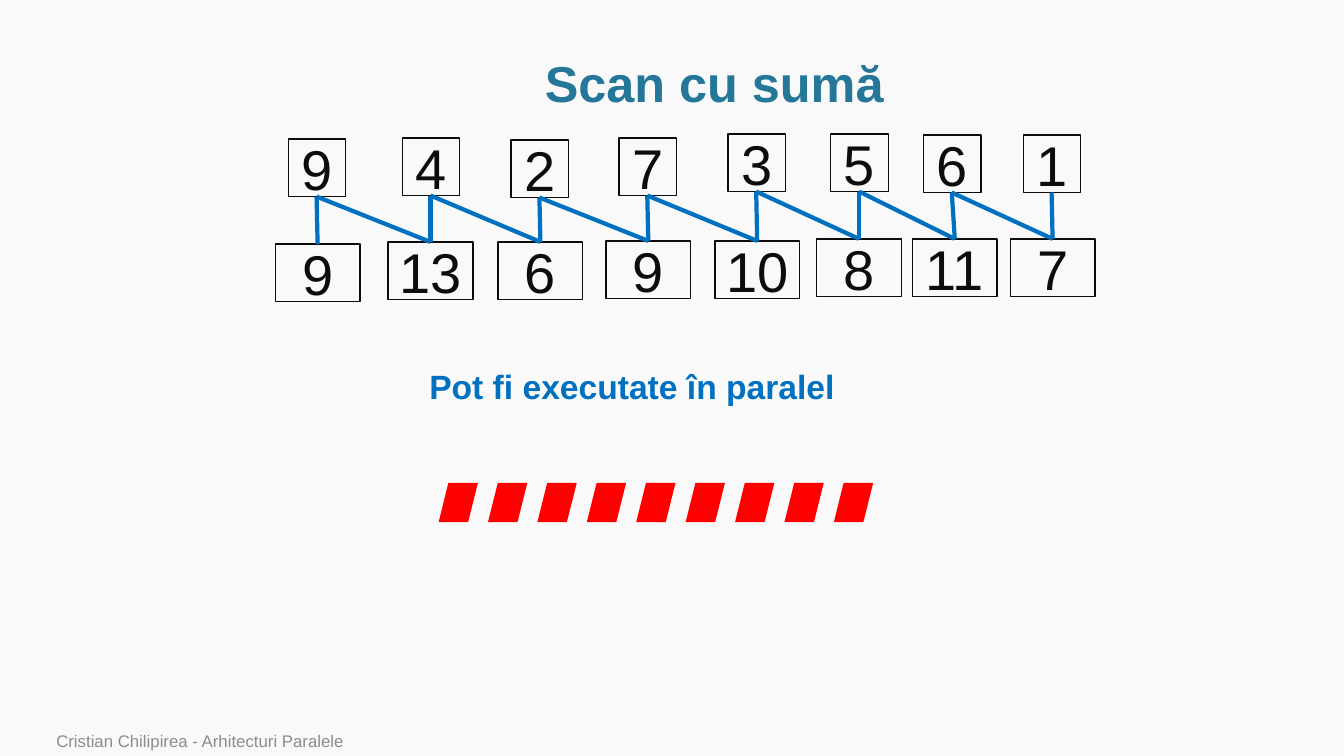
"""Build a slide showing the first step of a parallel prefix sum."""
import dataclasses

import pptx
import pptx.dml.color
import pptx.enum.shapes
import pptx.enum.text
import pptx.oxml.ns
import pptx.util
from lxml import etree

RGB = pptx.dml.color.RGBColor.from_string
SHAPE = pptx.enum.shapes.MSO_SHAPE
ALIGN = pptx.enum.text.PP_ALIGN
ANCHOR = pptx.enum.text.MSO_ANCHOR
PX = 9144


@dataclasses.dataclass(frozen=True)
class Theme:
    font: str = "Arial"
    background: str = "F9F9F9"
    title: str = "247798"
    ink: str = "0C0C0C"
    link: str = "0070C0"
    mark: str = "FF0000"
    footer: str = "8C8C8C"
    title_size: int = 36
    number_size: int = 40
    label_size: int = 24
    footer_size: int = 12
    box_line: int = 1
    link_line: int = 3


theme = Theme()


def write(s, text, size, color, align, anchor, bold=False, wrap=True):
    tf = s.text_frame
    tf.word_wrap = wrap
    tf.vertical_anchor = anchor
    p = tf.paragraphs[0]
    p.text = text
    p.alignment = align
    p.font.name = theme.font
    p.font.size = pptx.util.Pt(size)
    p.font.bold = bold
    p.font.color.rgb = RGB(color)
    return p


def add_shape(kind, x, y, w, h):
    s = sp.add_shape(kind, x * PX, y * PX, w * PX, h * PX)
    s.shadow.inherit = False
    return s


prs = pptx.Presentation()
prs.slide_width = 1333 * PX
prs.slide_height = 750 * PX
slide = prs.slides.add_slide(prs.slide_layouts[6])
slide.background.fill.solid()
slide.background.fill.fore_color.rgb = RGB(theme.background)
sp = slide.shapes

title = sp.add_textbox(114 * PX, 51 * PX, 1189 * PX, 69 * PX)
p = write(title, "Scan cu sumă", theme.title_size, theme.title,
          ALIGN.CENTER, ANCHOR.MIDDLE, bold=True)
p.line_spacing = 0.9

BOX_H, INPUT_W, SUM_W = 57, 57, 84
values = [9, 4, 2, 7, 3, 5, 6, 1]
sums = [b + a for a, b in zip([0] + values, values)]
inputs = [(286, 138), (399, 137), (507, 139), (614, 137),
          (722, 133), (824, 133), (916, 134), (1015, 134)]
outputs = [(273, 242), (385, 240), (494, 240), (601, 239),
           (709, 239), (810, 237), (905, 237), (1002, 237)]

for numbers, spots, width in ((values, inputs, INPUT_W), (sums, outputs, SUM_W)):
    for number, (x, y) in zip(numbers, spots):
        s = add_shape(SHAPE.RECTANGLE, x, y, width, BOX_H)
        s.fill.background()
        s.line.color.rgb = RGB(theme.ink)
        s.line.width = pptx.util.Pt(theme.box_line)
        write(s, str(number), theme.number_size, theme.ink,
              ALIGN.CENTER, ANCHOR.MIDDLE)

starts = [(x + INPUT_W // 2, y + BOX_H) for x, y in inputs]
ends = [(x + SUM_W // 2, y) for x, y in outputs]
for (x1, y1), (x2, y2) in [*zip(starts, ends), *zip(starts, ends[1:])]:
    link = sp.add_connector(pptx.enum.shapes.MSO_CONNECTOR.STRAIGHT,
                            x1 * PX, y1 * PX, x2 * PX, y2 * PX)
    link.line.color.rgb = RGB(theme.link)
    link.line.width = pptx.util.Pt(theme.link_line)
    etree.SubElement(link._element.spPr, pptx.oxml.ns.qn("a:effectLst"))

label = sp.add_textbox(416 * PX, 358 * PX, 426 * PX, 50 * PX)
write(label, "Pot fi executate în paralel", theme.label_size, theme.link,
      ALIGN.LEFT, ANCHOR.TOP, bold=True, wrap=False)
label.text_frame.auto_size = pptx.enum.text.MSO_AUTO_SIZE.SHAPE_TO_FIT_TEXT

MARK_SIZE, MARK_STEP = 39, 49
for i in range(9):
    s = add_shape(SHAPE.PARALLELOGRAM, 435 + i * MARK_STEP, 479,
                  MARK_SIZE, MARK_SIZE)
    s.fill.solid()
    s.fill.fore_color.rgb = RGB(theme.mark)
    s.line.fill.background()

footer = sp.add_textbox(46 * PX, 722 * PX, 982 * PX, 28 * PX)
write(footer, "Cristian Chilipirea - Arhitecturi Paralele", theme.footer_size,
      theme.footer, ALIGN.LEFT, ANCHOR.BOTTOM)

prs.save("out.pptx")
